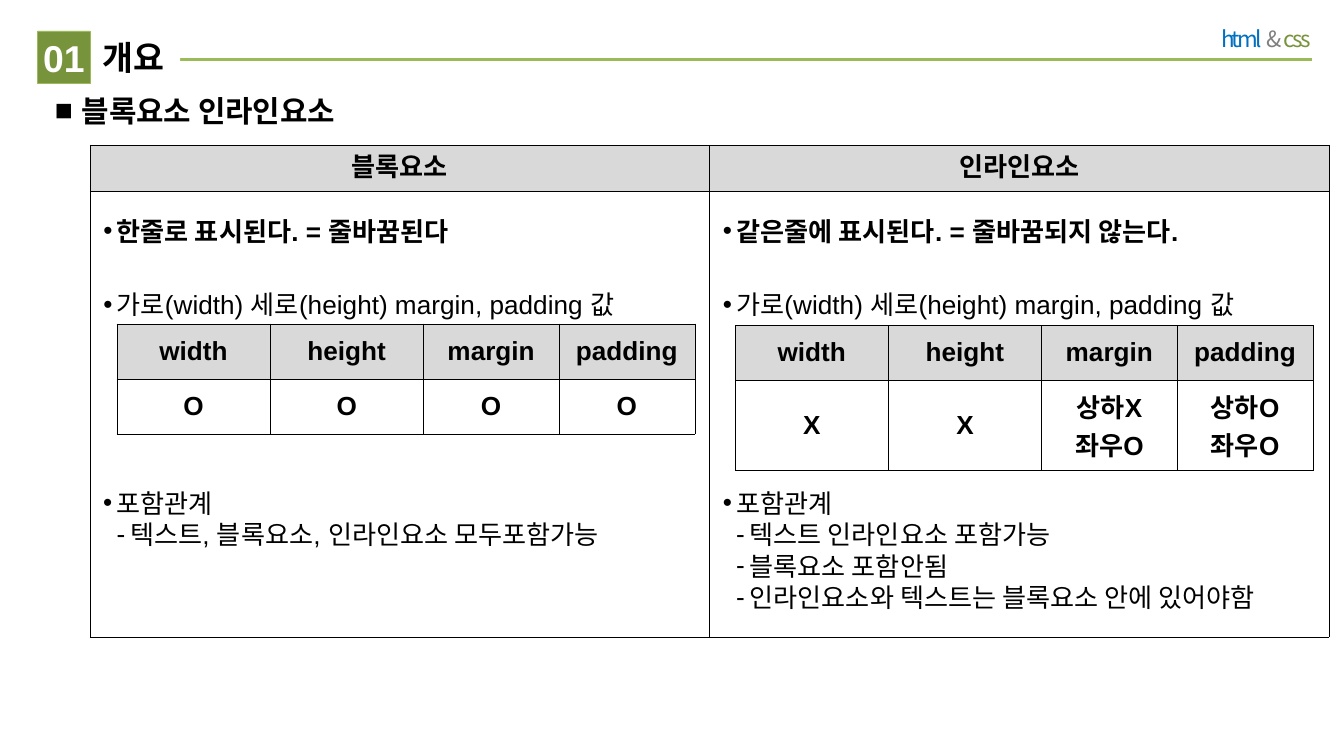
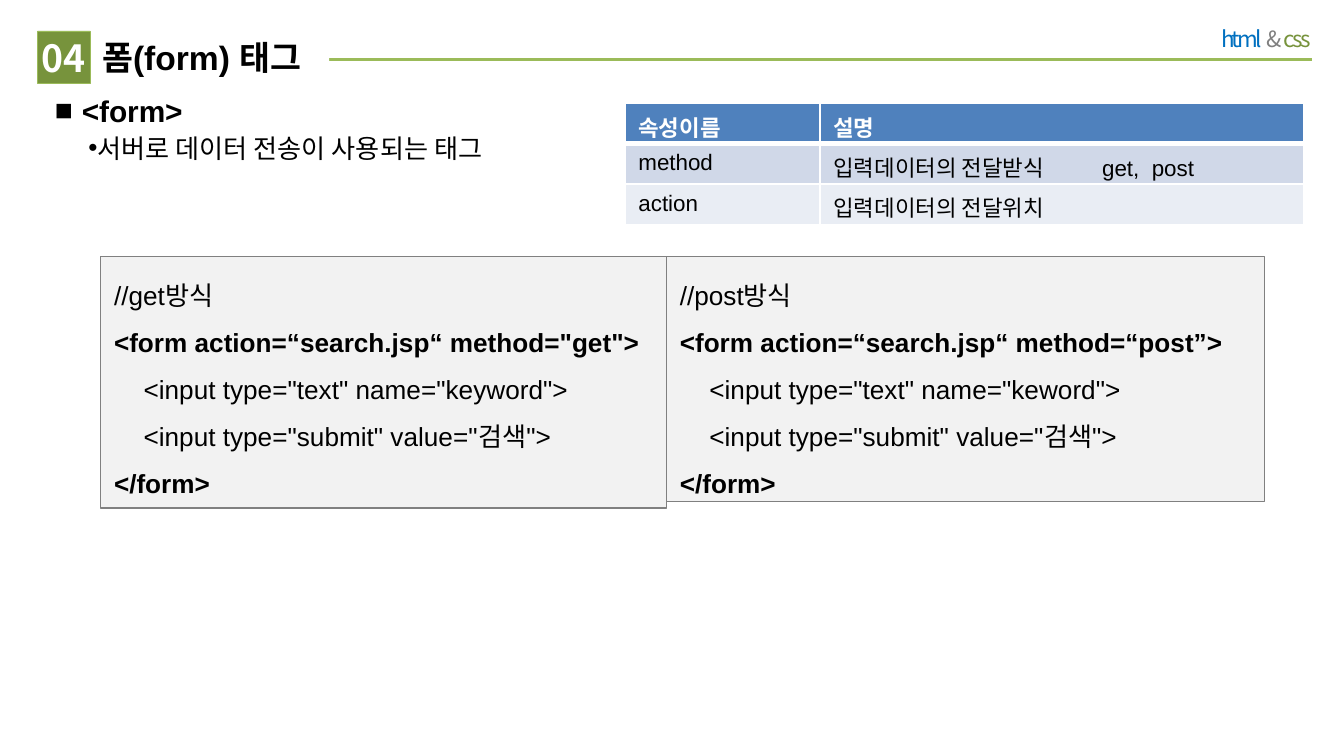
from dataclasses import dataclass
from typing import Optional, Sequence

from lxml import etree
from pptx import Presentation
from pptx.dml.color import RGBColor
from pptx.enum.shapes import MSO_CONNECTOR, MSO_SHAPE
from pptx.enum.text import MSO_ANCHOR, MSO_AUTO_SIZE, PP_ALIGN
from pptx.oxml.ns import qn
from pptx.slide import Slide
from pptx.table import _Cell
from pptx.text.text import TextFrame, _Paragraph
from pptx.util import Inches, Pt

STRAIGHT = MSO_CONNECTOR.STRAIGHT
RECTANGLE = MSO_SHAPE.RECTANGLE
TOP, MIDDLE = MSO_ANCHOR.TOP, MSO_ANCHOR.MIDDLE
NO_AUTOFIT = MSO_AUTO_SIZE.NONE
LEFT, CENTER, RIGHT = PP_ALIGN.LEFT, PP_ALIGN.CENTER, PP_ALIGN.RIGHT

BLACK = RGBColor(0x00, 0x00, 0x00)
WHITE = RGBColor(0xFF, 0xFF, 0xFF)
GREEN = RGBColor(0x77, 0x93, 0x3C)
LIME = RGBColor(0x9B, 0xBB, 0x59)
BLUE = RGBColor(0x00, 0x70, 0xC0)
GRAY = RGBColor(0x80, 0x80, 0x80)
HEADER_GRAY = RGBColor(0xD9, 0xD9, 0xD9)
CODE_GRAY = RGBColor(0xF2, 0xF2, 0xF2)
HEADER_BLUE = RGBColor(0x4F, 0x81, 0xBD)
BAND_DARK = RGBColor(0xD0, 0xD8, 0xE8)
BAND_LIGHT = RGBColor(0xE9, 0xED, 0xF4)

LATIN_FONT = "Arial"
KOREAN_FONT = "Noto Sans CJK KR"
SINGLE_SPACING = Pt(16.8)
WIDE_SPACING = Pt(25.2)
TITLE_ONLY_LAYOUT = 5
SLIDE_WIDTH = Inches(10)
SLIDE_HEIGHT = SLIDE_WIDTH * 9 // 16


@dataclass(frozen=True)
class Box:
    left: float
    top: float
    width: float
    height: float

    def lengths(self) -> tuple:
        return tuple(Inches(v) for v in (self.left, self.top, self.width, self.height))


@dataclass(frozen=True)
class Line:
    text: str
    size: float = 14
    bold: bool = False
    color: RGBColor = BLACK
    font: str = LATIN_FONT
    align: PP_ALIGN = LEFT
    bullet: str = ""
    margin: float = 0
    indent: float = 0
    spacing: Optional[int] = None
    before: float = 0
    tab: float = 0


@dataclass(frozen=True)
class Grid:
    box: Box
    columns: Sequence[float]
    row_heights: Sequence[float]
    rows: Sequence[Sequence[str]]
    fills: Sequence[Optional[RGBColor]]
    border: RGBColor = BLACK
    border_width: float = 0.25
    header_rule: float = 0.25
    header_color: RGBColor = BLACK
    size: float = 14
    body_bold: bool = True
    align: PP_ALIGN = CENTER
    anchor: MSO_ANCHOR = MIDDLE
    spacing: Optional[int] = None
    tab: float = 0


@dataclass(frozen=True)
class ElementKind:
    left: float
    display: str
    display_width: float
    box_model: Grid
    containment: Sequence[str]


@dataclass(frozen=True)
class CodeSample:
    box: Box
    caption: str
    form_tag: str
    field_name: str


def format_paragraph(paragraph: _Paragraph, line: Line) -> None:
    paragraph.alignment = line.align
    paragraph.space_before = Pt(line.before)
    if line.spacing:
        paragraph.line_spacing = line.spacing
    font = paragraph.font
    font.size, font.bold = Pt(line.size), line.bold
    font.color.rgb = line.color
    font.name = line.font
    properties = paragraph._p.get_or_add_pPr()
    defaults = properties.find(qn("a:defRPr"))
    etree.SubElement(defaults, qn("a:ea"), typeface=KOREAN_FONT)
    properties.set("marL", str(Inches(line.margin)))
    properties.set("indent", str(Inches(line.indent)))
    if line.bullet:
        face = etree.Element(qn("a:buFont"), typeface=LATIN_FONT)
        mark = etree.Element(qn("a:buChar"), char=line.bullet)
        properties.insert_element_before(face, "a:defRPr")
        properties.insert_element_before(mark, "a:defRPr")
    if line.tab:
        stops = etree.Element(qn("a:tabLst"))
        etree.SubElement(stops, qn("a:tab"), pos=str(Inches(line.tab)), algn="l")
        properties.insert_element_before(stops, "a:defRPr")


def write_lines(frame: TextFrame, lines: Sequence[Line]) -> None:
    frame.word_wrap = True
    for number, line in enumerate(lines):
        paragraph = frame.add_paragraph() if number else frame.paragraphs[0]
        paragraph.text = line.text
        format_paragraph(paragraph, line)


def set_insets(frame: TextFrame, left: float, top: float, right: float, bottom: float) -> None:
    frame.margin_left, frame.margin_top = Inches(left), Inches(top)
    frame.margin_right, frame.margin_bottom = Inches(right), Inches(bottom)


def add_text(slide: Slide, box: Box, lines: Sequence[Line]) -> TextFrame:
    frame = slide.shapes.add_textbox(*box.lengths()).text_frame
    write_lines(frame, lines)
    return frame


def add_panel(slide: Slide, box: Box, fill: RGBColor, outline: RGBColor,
              outline_width: float, lines: Sequence[Line]) -> TextFrame:
    panel = slide.shapes.add_shape(RECTANGLE, *box.lengths())
    panel.shadow.inherit = False
    panel.fill.solid()
    panel.fill.fore_color.rgb = fill
    panel.line.color.rgb = outline
    panel.line.width = Pt(outline_width)
    write_lines(panel.text_frame, lines)
    return panel.text_frame


def set_borders(cell: _Cell, color: RGBColor, top: float, bottom: float, side: float) -> None:
    properties = cell._tc.get_or_add_tcPr()
    for tag, width in (("a:lnL", side), ("a:lnR", side), ("a:lnT", top), ("a:lnB", bottom)):
        edge = etree.SubElement(properties, qn(tag), w=str(Pt(width)))
        paint = etree.SubElement(edge, qn("a:solidFill"))
        etree.SubElement(paint, qn("a:srgbClr"), val=str(color))


def add_grid(slide: Slide, grid: Grid) -> None:
    table = slide.shapes.add_table(
        len(grid.rows), len(grid.columns), *grid.box.lengths()).table
    for column, width in zip(table.columns, grid.columns):
        column.width = Inches(width)
    for r, (texts, fill) in enumerate(zip(grid.rows, grid.fills)):
        table.rows[r].height = Inches(grid.row_heights[r])
        for c, text in enumerate(texts):
            cell = table.cell(r, c)
            cell.vertical_anchor = grid.anchor
            set_borders(cell, grid.border,
                        grid.header_rule if r == 1 else grid.border_width,
                        grid.header_rule if r == 0 else grid.border_width,
                        grid.border_width)
            if fill is None:
                cell.fill.background()
            else:
                cell.fill.solid()
                cell.fill.fore_color.rgb = fill
            write_lines(cell.text_frame, [
                Line(part, grid.size, r == 0 or grid.body_bold,
                     BLACK if r else grid.header_color, align=grid.align,
                     spacing=grid.spacing, tab=grid.tab if "\t" in part else 0)
                for part in text.split("\n")])


def add_topic_slide(prs: Presentation, number: str, title: str, title_width: float,
                    number_font: str = LATIN_FONT) -> Slide:
    slide = prs.slides.add_slide(prs.slide_layouts[TITLE_ONLY_LAYOUT])
    rule = slide.shapes.add_connector(
        STRAIGHT, Inches(9.76), Inches(0.44), Inches(0.71), Inches(0.44))
    rule.line.color.rgb = LIME
    rule.line.width = Pt(1.5)
    etree.SubElement(rule._element.spPr, qn("a:effectLst"))

    course = add_text(slide, Box(8.31, 0.11, 1.54, 0.36),
                      [Line("", 12, font=KOREAN_FONT, align=RIGHT)])
    set_insets(course, 0.1, 0.08, 0.1, 0.08)
    for text, color in (("html  ", BLUE), ("& ", GRAY), ("css", GREEN)):
        run = course.paragraphs[0].add_run()
        run.text = text
        run.font.color.rgb = color
        run._r.get_or_add_rPr().set("spc", "-150")

    heading = slide.shapes.title
    heading.left, heading.top, heading.width, heading.height = Box(
        0.68, 0.23, title_width, 0.39).lengths()
    heading.fill.solid()
    heading.fill.fore_color.rgb = WHITE
    heading.text_frame.auto_size = NO_AUTOFIT
    heading.text_frame.vertical_anchor = MIDDLE
    set_insets(heading.text_frame, 0.08, 0.04, 0, 0.04)
    write_lines(heading.text_frame, [Line(title, 18, True)])
    slide.shapes._spTree.append(heading._element)

    badge = add_panel(slide, Box(0.28, 0.23, 0.39, 0.39), GREEN, LIME, 0.25,
                      [Line(number, 20, True, WHITE, number_font, CENTER)])
    badge.vertical_anchor = MIDDLE
    set_insets(badge, 0, 0, 0, 0)
    return slide


def section_line(text: str) -> Line:
    return Line(text, 16, True, bullet="■", margin=0.2, indent=-0.2)


def bullet_line(text: str, bold: bool = False, spacing: int = SINGLE_SPACING) -> Line:
    return Line(text, bold=bold, bullet="•", margin=0.1, indent=-0.1, spacing=spacing)


def box_model_grid(left: float, top: float, value_height: float,
                   values: Sequence[str]) -> Grid:
    return Grid(Box(left, top, 4.3, 0.41 + value_height), (1.14, 1.14, 1.01, 1.01),
                (0.41, value_height),
                (("width", "height", "margin", "padding"), values), (HEADER_GRAY, None))


def add_element_kind(slide: Slide, kind: ElementKind) -> None:
    add_grid(slide, kind.box_model)
    add_text(slide, Box(kind.left, 1.55, kind.display_width, 0.34),
             [bullet_line(kind.display, True)])
    add_text(slide, Box(kind.left, 2.1, 4.25, 0.34),
             [bullet_line("가로(width) 세로(height) margin, padding 값")])
    details = [Line(text, bullet="-", margin=0.2, indent=-0.1, spacing=SINGLE_SPACING)
               for text in kind.containment]
    add_text(slide, Box(kind.left, 3.46, 4.57, 1.16),
             [bullet_line("포함관계", spacing=WIDE_SPACING), *details])


def add_code(slide: Slide, sample: CodeSample) -> None:
    lines = [
        Line(sample.caption, spacing=WIDE_SPACING),
        Line(sample.form_tag, bold=True, spacing=WIDE_SPACING),
        Line(f'<input type="text" name="{sample.field_name}">',
             margin=0.22, spacing=WIDE_SPACING),
        Line('<input type="submit" value="검색">', margin=0.22, spacing=WIDE_SPACING),
        Line("</form>", bold=True, spacing=WIDE_SPACING),
    ]
    frame = add_panel(slide, sample.box, CODE_GRAY, GRAY, 0.75, lines)
    frame.vertical_anchor = TOP


def build_overview(prs: Presentation) -> None:
    slide = add_topic_slide(prs, "01", "개요", 0.66)
    add_grid(slide, Grid(Box(0.67, 1.08, 9.22, 3.66), (4.61, 4.61), (0.34, 3.32),
                         (("블록요소", "인라인요소"), ("", "")), (HEADER_GRAY, None),
                         spacing=SINGLE_SPACING))
    add_text(slide, Box(0.31, 0.64, 9.45, 0.44), [section_line("블록요소 인라인요소")])
    kinds = (
        ElementKind(0.67, "한줄로 표시된다. = 줄바꿈된다", 3.05,
                    box_model_grid(0.87, 2.41, 0.41, ("O", "O", "O", "O")),
                    ("텍스트, 블록요소, 인라인요소 모두포함가능",)),
        ElementKind(5.28, "같은줄에 표시된다. = 줄바꿈되지 않는다.", 3.94,
                    box_model_grid(5.47, 2.42, 0.67,
                                   ("X", "X", "상하X\n좌우O", "상하O\n좌우O")),
                    ("텍스트 인라인요소 포함가능", "블록요소 포함안됨",
                     "인라인요소와 텍스트는 블록요소 안에 있어야함")),
    )
    for kind in kinds:
        add_element_kind(slide, kind)


def build_form(prs: Presentation) -> None:
    slide = add_topic_slide(prs, "04", "폼(form) 태그", 1.77, KOREAN_FONT)
    add_text(slide, Box(0.31, 0.64, 9.45, 0.96), [
        section_line("<form>"),
        Line("서버로 데이터 전송이 사용되는 태그", bullet="•",
             margin=0.29, indent=-0.04, before=2),
    ])
    samples = (
        CodeSample(Box(0.75, 1.91, 4.21, 1.87), "//get방식",
                   '<form action=“search.jsp“ method="get">', "keyword"),
        CodeSample(Box(4.96, 1.91, 4.45, 1.82), "//post방식",
                   "<form action=“search.jsp“ method=“post”>", "keword"),
    )
    for sample in samples:
        add_code(slide, sample)
    add_grid(slide, Grid(
        Box(4.65, 0.77, 5.05, 0.9), (1.45, 3.6), (0.3, 0.3, 0.3),
        (("속성이름", "설명"),
         ("method", "입력데이터의 전달받식\tget,  post"),
         ("action", "입력데이터의 전달위치")),
        (HEADER_BLUE, BAND_DARK, BAND_LIGHT), border=WHITE, border_width=1,
        header_rule=3, header_color=WHITE, size=12, body_bold=False,
        align=LEFT, anchor=TOP, tab=1.81))


def main() -> None:
    prs = Presentation()
    prs.slide_width, prs.slide_height = SLIDE_WIDTH, SLIDE_HEIGHT
    build_overview(prs)
    build_form(prs)
    prs.save("out.pptx")


if __name__ == "__main__":
    main()
